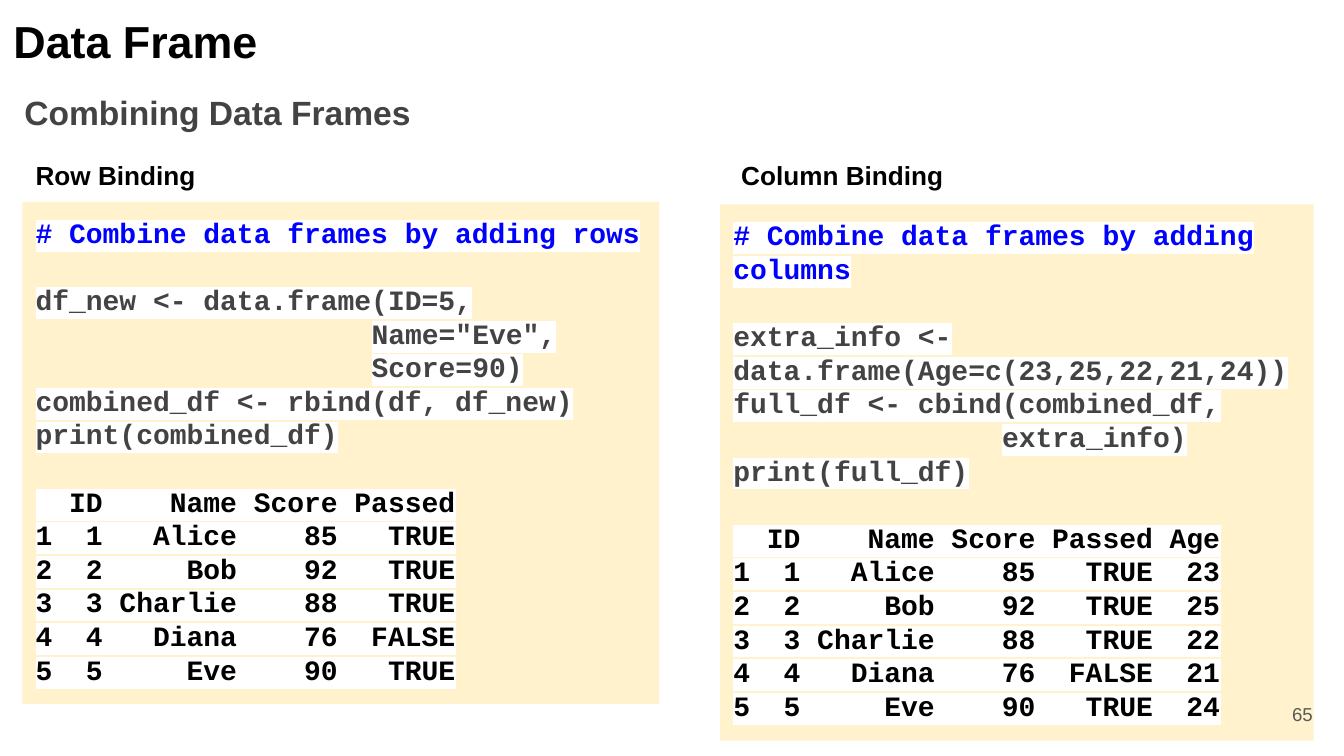
from lxml.etree import SubElement
from pptx import Presentation
from pptx.dml.color import RGBColor
from pptx.enum.shapes import MSO_SHAPE
from pptx.enum.text import MSO_ANCHOR, MSO_AUTO_SIZE, PP_ALIGN
from pptx.oxml.ns import qn
from pptx.util import Pt

BLACK = RGBColor(0, 0, 0)
GREY = RGBColor(0x43, 0x43, 0x43)
PALE = RGBColor(0x59, 0x59, 0x59)
BLUE = RGBColor(0, 0, 0xFF)
CREAM = RGBColor(0xFF, 0xF2, 0xCC)
INSET = 7.2
LINE = 18  # height of one line of code

# Text, box (left, top, width, height), size, colour
TITLE = ("Data Frame", (0, 0, 236, 44), 24, BLACK)
LABELS = [
    ("Combining Data Frames", (6, 42, 236, 36), 18, GREY),
    ("Row Binding", (12, 78, 236, 31.7), 14, BLACK),
    ("Column Binding", (390, 78, 236, 31.7), 14, BLACK),
]
NUMBER = ("65", (667, 367.2, 43.4, 31), 10, PALE)

# Each panel: box, then comment, code as (indent, text), and output
PANELS = [
    ((12, 108.2, 341.2, 269),
     "# Combine data frames by adding rows",
     [(0, "df_new <- data.frame(ID=5,"),
      (180, 'Name="Eve",'),
      (180, "Score=90)"),
      (0, "combined_df <- rbind(df, df_new)"),
      (0, "print(combined_df)")],
     ["  ID    Name Score Passed",
      "1  1   Alice    85   TRUE",
      "2  2     Bob    92   TRUE",
      "3  3 Charlie    88   TRUE",
      "4  4   Diana    76  FALSE",
      "5  5     Eve    90   TRUE"]),
    ((385.8, 109.5, 318, 287.3),
     "# Combine data frames by adding columns",
     [(0, "extra_info <- data.frame(Age=c(23,25,22,21,24))"),
      (0, "full_df <- cbind(combined_df,"),
      (144, "extra_info)"),
      (0, "print(full_df)")],
     ["  ID    Name Score Passed Age",
      "1  1   Alice    85   TRUE  23",
      "2  2     Bob    92   TRUE  25",
      "3  3 Charlie    88   TRUE  22",
      "4  4   Diana    76  FALSE  21",
      "5  5     Eve    90   TRUE  24"]),
]


def set_frame(shape, anchor=MSO_ANCHOR.TOP):
    frame = shape.text_frame
    frame.word_wrap = True
    frame.auto_size = MSO_AUTO_SIZE.NONE
    frame.vertical_anchor = anchor
    frame.margin_left = frame.margin_right = Pt(INSET)
    frame.margin_top = frame.margin_bottom = Pt(INSET)
    return frame


def set_font(para, name, size, color):
    font = para.font
    font.name, font.size, font.bold = name, Pt(size), True
    font.color.rgb = color


def fill_label(shape, text, size, color, anchor=MSO_ANCHOR.TOP):
    para = set_frame(shape, anchor).paragraphs[0]
    para.text = text
    para.alignment = PP_ALIGN.LEFT
    set_font(para, "Arial", size, color)
    return para


def mark(run):
    """Put a white highlight behind a run."""
    light = SubElement(run.font._element, qn("a:highlight"))
    SubElement(light, qn("a:srgbClr")).set("val", "FFFFFF")


def add_panel(slide, box, note, code, output):
    shape = slide.shapes.add_shape(MSO_SHAPE.RECTANGLE, *map(Pt, box))
    shape.shadow.inherit = False
    shape.fill.solid()
    shape.fill.fore_color.rgb = CREAM
    shape.line.fill.background()
    frame = set_frame(shape)
    groups = [
        (BLUE, [(0, note)]),
        (GREY, code),
        (BLACK, [(0, row) for row in output]),
    ]
    first = True
    for color, lines in groups:
        for i, (indent, text) in enumerate(lines):
            para = frame.paragraphs[0] if first else frame.add_paragraph()
            para.alignment = PP_ALIGN.LEFT
            para.space_before = Pt(LINE if i == 0 and not first else 0)
            if indent:
                para._p.get_or_add_pPr().set("marL", str(Pt(indent)))
            run = para.add_run()
            run.text = text
            mark(run)
            set_font(para, "Courier New", 15, color)
            first = False


deck = Presentation()
deck.slide_width, deck.slide_height = Pt(720), Pt(405)
slide = deck.slides.add_slide(deck.slide_layouts[5])

text, box, size, color = TITLE
title = slide.shapes.title
title.left, title.top, title.width, title.height = map(Pt, box)
fill_label(title, text, size, color)

for text, box, size, color in LABELS:
    fill_label(slide.shapes.add_textbox(*map(Pt, box)), text, size, color)

for panel in PANELS:
    add_panel(slide, *panel)

text, box, size, color = NUMBER
label = slide.shapes.add_textbox(*map(Pt, box))
para = fill_label(label, text, size, color, MSO_ANCHOR.MIDDLE)
para.alignment = PP_ALIGN.RIGHT
para.font.bold = False

deck.save("out.pptx")
